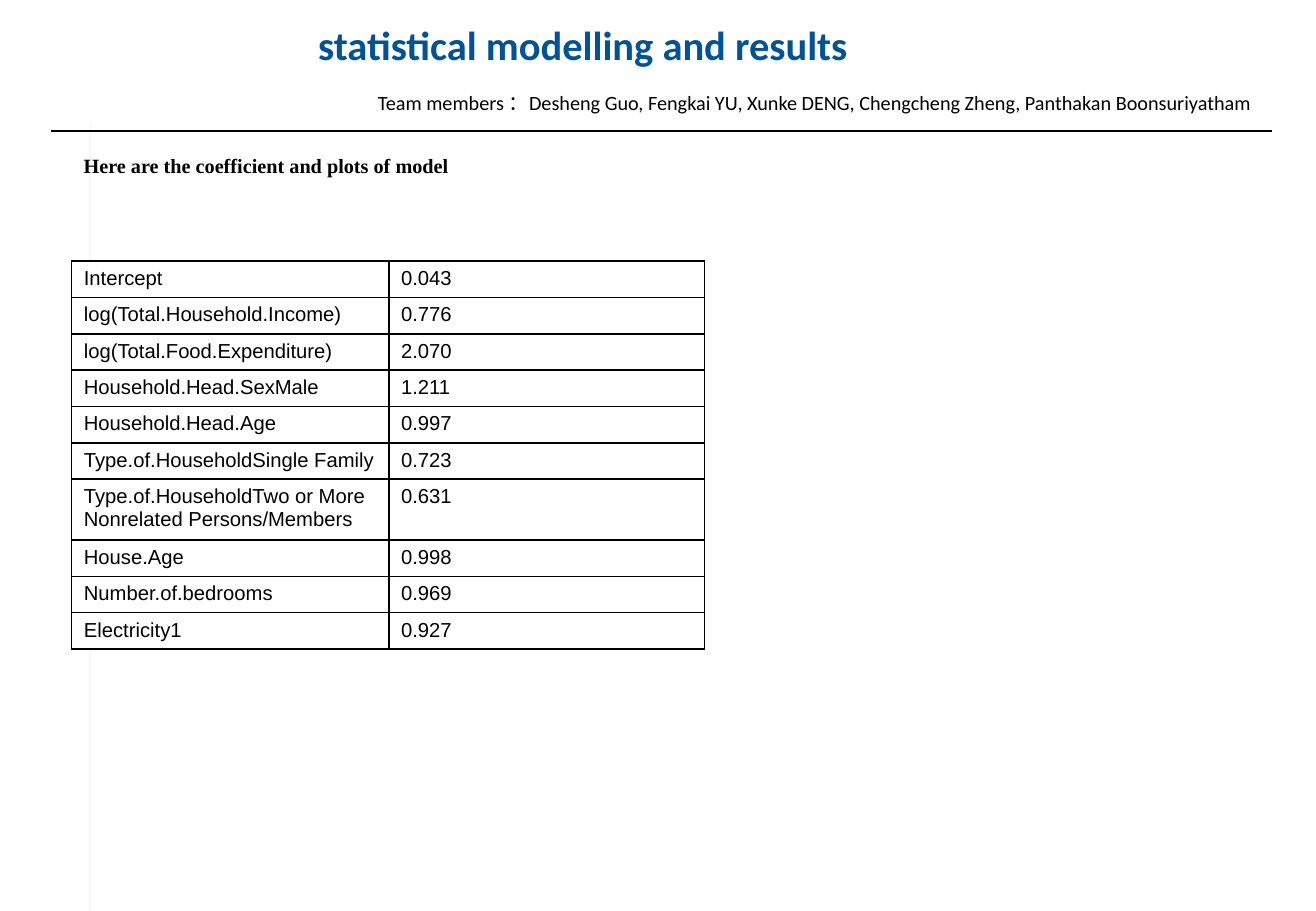
from lxml import etree
from pptx import Presentation
from pptx import util as u
from pptx.dml.color import RGBColor
from pptx.enum import shapes, text
from pptx.oxml.ns import qn

COLORS = {"title": "005398", "ink": "000000", "guide": "F8F8F8", "paper": "FFFFFF"}

COEFFICIENTS = [
    ("Intercept", "0.043"),
    ("log(Total.Household.Income)", "0.776"),
    ("log(Total.Food.Expenditure)", "2.070"),
    ("Household.Head.SexMale", "1.211"),
    ("Household.Head.Age", "0.997"),
    ("Type.of.HouseholdSingle Family", "0.723"),
    ("Type.of.HouseholdTwo or More Nonrelated Persons/Members", "0.631"),
    ("House.Age", "0.998"),
    ("Number.of.bedrooms", "0.969"),
    ("Electricity1", "0.927"),
]


def rgb(name):
    return RGBColor.from_string(COLORS[name])


class Deck:
    """Hold the deck's style and current slide, and draw its elements."""

    def __init__(self, width, height):
        self.prs = Presentation()
        self.prs.slide_width, self.prs.slide_height = u.Cm(width), u.Cm(height)
        self.slide = self.prs.slides.add_slide(self.prs.slide_layouts[5])
        self.slide.background.fill.solid()
        self.slide.background.fill.fore_color.rgb = rgb("paper")

    def style(self, p, font, size=12, color="ink", bold=False, align=text.PP_ALIGN.LEFT):
        p.alignment = align
        p.font.name, p.font.size, p.font.bold = font, u.Pt(size), bold
        p.font.color.rgb = rgb(color)

    def fill_frame(self, sp, content, margin_y, **style):
        tf = sp.text_frame
        tf.word_wrap = True
        tf.auto_size = text.MSO_AUTO_SIZE.NONE
        tf.vertical_anchor = text.MSO_ANCHOR.TOP
        tf.margin_left = tf.margin_right = u.Cm(0.25)
        tf.margin_top = tf.margin_bottom = u.Cm(margin_y)
        tf.text = content
        self.style(tf.paragraphs[0], **style)

    def title(self, content, x, y, w, h, **style):
        sp = self.slide.shapes.title
        sp.left, sp.top, sp.width, sp.height = map(u.Cm, (x, y, w, h))
        self.fill_frame(sp, content, 0.13, **style)

    def textbox(self, content, x, y, w, h, margin_y=0.13, **style):
        sp = self.slide.shapes.add_textbox(*map(u.Cm, (x, y, w, h)))
        self.fill_frame(sp, content, margin_y, **style)

    def line(self, x1, y1, x2, y2, color):
        sp = self.slide.shapes.add_connector(
            shapes.MSO_CONNECTOR.STRAIGHT, *map(u.Cm, (x1, y1, x2, y2)))
        sp.line.color.rgb = rgb(color)
        sp.line.width = u.Pt(0.75)
        etree.SubElement(sp._element.spPr, qn("a:effectLst"))

    def border(self, cell):
        tcPr = cell._tc.get_or_add_tcPr()
        for side in ("L", "R", "T", "B"):
            ln = etree.SubElement(tcPr, qn(f"a:ln{side}"), w=str(u.Pt(1)))
            solid = etree.SubElement(ln, qn("a:solidFill"))
            etree.SubElement(solid, qn("a:srgbClr"), val=COLORS["ink"])

    def table(self, rows, x, y, widths, heights, **style):
        tbl = self.slide.shapes.add_table(
            len(rows), len(widths), *map(u.Cm, (x, y, sum(widths), sum(heights)))).table
        tbl.first_row = tbl.horz_banding = False
        for col, width in zip(tbl.columns, widths):
            col.width = u.Cm(width)
        for row, height, values in zip(tbl.rows, heights, rows):
            row.height = u.Cm(height)
            for cell, value in zip(row.cells, values):
                cell.text = value
                self.style(cell.text_frame.paragraphs[0], **style)
                self.border(cell)
                cell.fill.solid()
                cell.fill.fore_color.rgb = rgb("paper")


def main():
    deck = Deck(27.51, 19.05)
    deck.line(1.88, 2.57, 1.88, 19.05, "guide")
    deck.line(1.07, 2.74, 26.59, 2.74, "ink")
    deck.title("statistical modelling and results", 6.4, 0.28, 13.59, 1.27,
               font="Calibri", size=24, color="title", bold=True)
    deck.textbox("Team members ：Desheng Guo, Fengkai YU, Xunke DENG, "
                 "Chengcheng Zheng, Panthakan Boonsuriyatham",
                 6, 1.85, 22.07, 0.56, margin_y=0.03,
                 font="Calibri", align=text.PP_ALIGN.CENTER)
    deck.textbox("Here are the coefficient and plots of model",
                 1.5, 3.07, 25.53, 0.76, font="Times New Roman", bold=True)
    heights = [1.27 if len(name) > 40 else 0.76 for name, _ in COEFFICIENTS]
    deck.table(COEFFICIENTS, 1.5, 5.46, [6.63, 6.6], heights, font="Arial")
    deck.prs.save("out.pptx")


if __name__ == "__main__":
    main()
